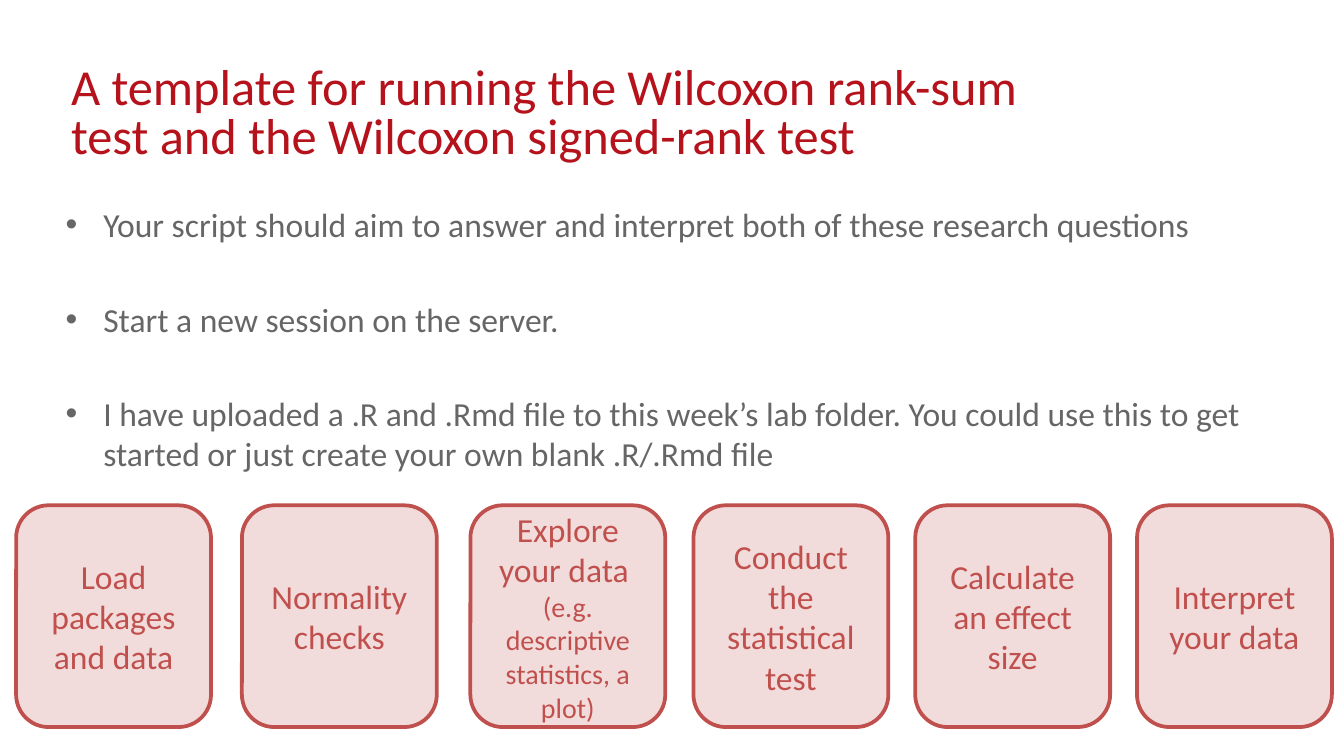
from dataclasses import dataclass

from lxml import etree
from pptx import Presentation
from pptx.dml.color import RGBColor
from pptx.enum.shapes import MSO_SHAPE
from pptx.enum.text import MSO_ANCHOR, PP_ALIGN
from pptx.oxml.ns import qn
from pptx.util import Inches, Pt

ROUNDED = MSO_SHAPE.ROUNDED_RECTANGLE
MIDDLE = MSO_ANCHOR.MIDDLE
CENTER = PP_ALIGN.CENTER
FONT = "Calibri"
TITLE_RED = RGBColor(0xB5, 0x12, 0x1B)
BODY_GREY = RGBColor(0x66, 0x66, 0x66)
STEP_RED = RGBColor(0xC0, 0x50, 0x4D)
STEP_FILL = RGBColor(0xF2, 0xDC, 0xDB)

STEP_TOP, STEP_WIDTH, STEP_HEIGHT = 3.76, 1.45, 1.65
BULLET_INDENT = 0.28


@dataclass
class Step:
    left: float
    text: str
    detail: str = ""


TITLE = "A template for running the Wilcoxon rank-sum test and the Wilcoxon signed-rank test"
BULLETS = [
    "Your script should aim to answer and interpret both of these research questions",
    "Start a new session on the server.",
    "I have uploaded a .R and .Rmd file to this week’s lab folder. "
    "You could use this to get started or just create your own blank .R/.Rmd file",
]
STEPS = [
    Step(0.12, "Load packages and data"),
    Step(1.80, "Normality checks"),
    Step(3.50, "Explore your data ", "(e.g. descriptive statistics, a plot)"),
    Step(5.16, "Conduct the statistical test"),
    Step(6.81, "Calculate an effect size"),
    Step(8.46, "Interpret your data"),
]


def write_paragraph(frame, index: int, text: str, size: float, color: RGBColor, **formats):
    """Fill the first paragraph, or append one, and apply paragraph formats."""
    paragraph = frame.paragraphs[0] if index == 0 else frame.add_paragraph()
    for name, value in formats.items():
        setattr(paragraph, name, value)
    run = paragraph.add_run()
    run.text = text
    run.font.color.rgb = color
    for name, value in {"name": FONT, "size": Pt(size)}.items():
        setattr(run.font, name, value)
    return paragraph


def add_text_frame(slide, left: float, top: float, width: float, height: float):
    box = slide.shapes.add_textbox(Inches(left), Inches(top), Inches(width), Inches(height))
    box.text_frame.word_wrap = True
    return box.text_frame


def add_bullet(paragraph) -> None:
    properties = paragraph._p.get_or_add_pPr()
    properties.set("marL", str(Inches(BULLET_INDENT)))
    properties.set("indent", str(-Inches(BULLET_INDENT)))
    etree.SubElement(properties, qn("a:buFont")).set("typeface", "Arial")
    etree.SubElement(properties, qn("a:buChar")).set("char", "•")


def add_step(slide, step: Step) -> None:
    shape = slide.shapes.add_shape(
        ROUNDED, Inches(step.left), Inches(STEP_TOP), Inches(STEP_WIDTH), Inches(STEP_HEIGHT)
    )
    shape.shadow.inherit = False
    shape.fill.solid()
    shape.fill.fore_color.rgb = STEP_FILL
    shape.line.color.rgb = STEP_RED
    shape.line.width = Pt(2)
    frame = shape.text_frame
    frame.word_wrap = True
    frame.vertical_anchor = MIDDLE
    write_paragraph(frame, 0, step.text, 18, STEP_RED, alignment=CENTER)
    if step.detail:
        write_paragraph(frame, 1, step.detail, 15, STEP_RED, alignment=CENTER)


def main() -> None:
    presentation = Presentation()
    presentation.slide_width = Inches(10)
    presentation.slide_height = Inches(10 * 9 / 16)
    slide = presentation.slides.add_slide(presentation.slide_layouts[6])

    title = add_text_frame(slide, 0.43, 0.45, 7.32, 0.94)
    write_paragraph(title, 0, TITLE, 27, TITLE_RED, line_spacing=Pt(26.2))

    for step in STEPS:
        add_step(slide, step)

    body = add_text_frame(slide, 0.39, 1.47, 9.21, 0.55)
    for index, text in enumerate(BULLETS):
        gap = Pt(29 if index else 0)
        add_bullet(write_paragraph(body, index, text, 18, BODY_GREY, space_before=gap))

    presentation.save("out.pptx")


if __name__ == "__main__":
    main()
